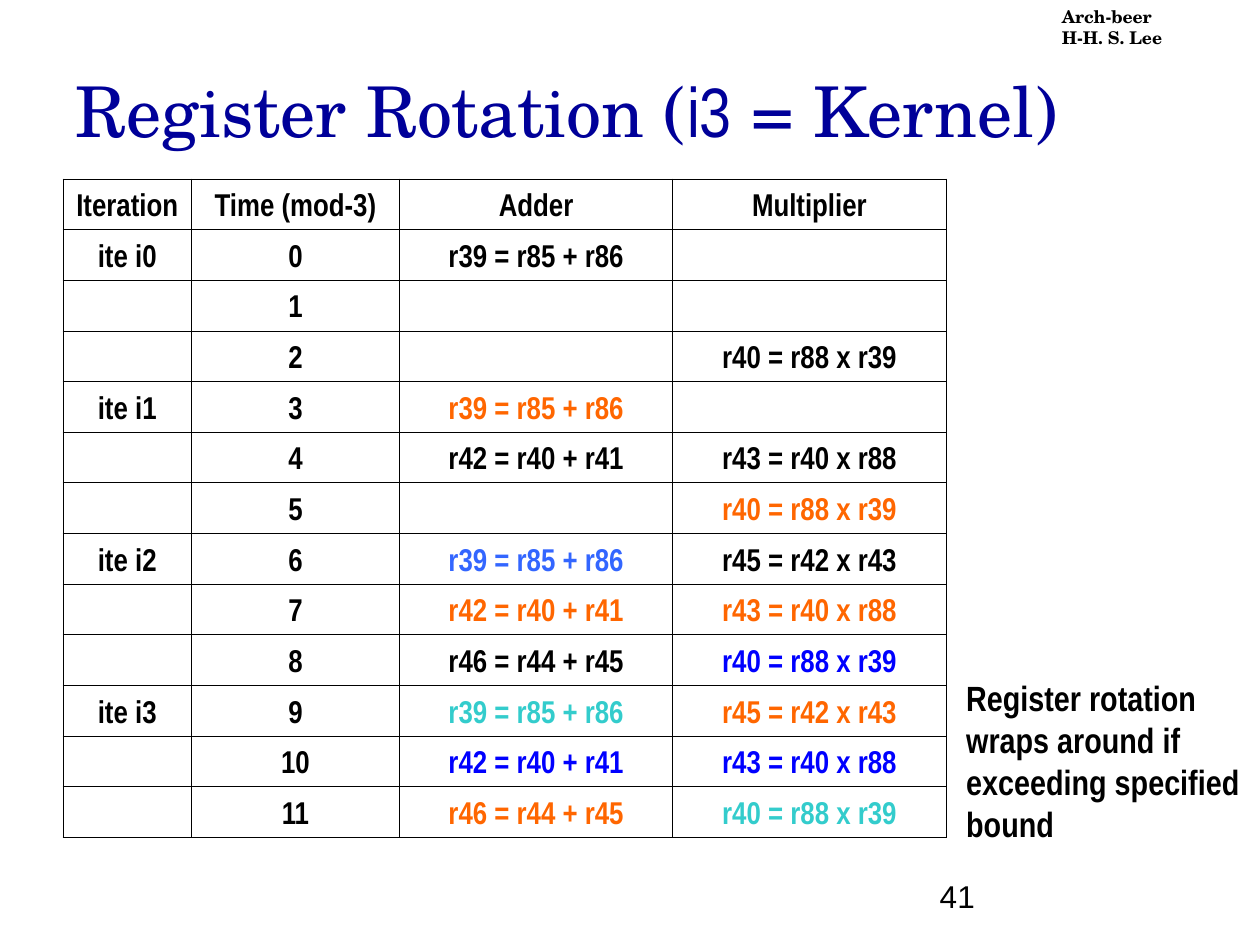
import dataclasses

import lxml.etree
import pptx
import pptx.dml.color
import pptx.enum.text
import pptx.oxml.ns
import pptx.util

Inches = pptx.util.Inches
Anchor = pptx.enum.text.MSO_ANCHOR
qn = pptx.oxml.ns.qn


@dataclasses.dataclass(frozen=True)
class Theme:
    serif: str = "TeX Gyre Schola"
    narrow: str = "Arial Narrow"
    sans: str = "Arial"
    black: str = "000000"
    navy: str = "000099"
    orange: str = "FF6600"
    sky: str = "3366FF"
    blue: str = "0000FF"
    teal: str = "33CCCC"
    credit_size: int = 10
    title_size: int = 40
    table_size: int = 18
    note_size: int = 20
    number_size: int = 18
    thin_line: float = 0.45
    thick_line: float = 1.08


class SlideBuilder:
    def __init__(self, slide, theme):
        self.slide = slide
        self.theme = theme

    def run(self, paragraph, text, font, size, color, bold=False):
        run = paragraph.add_run()
        run.text = text
        run.font.name = font
        run.font.size = pptx.util.Pt(size)
        run.font.bold = bold
        run.font.color.rgb = pptx.dml.color.RGBColor.from_string(color)

    def text(self, box, paragraphs, size, color, bold=False, anchor=Anchor.TOP, grow=False):
        """Each paragraph is a list of (text, font) runs."""
        shape = self.slide.shapes.add_textbox(*map(Inches, box))
        frame = shape.text_frame
        frame.word_wrap = True
        frame.vertical_anchor = anchor
        if grow:
            frame.auto_size = pptx.enum.text.MSO_AUTO_SIZE.SHAPE_TO_FIT_TEXT
        for index, runs in enumerate(paragraphs):
            paragraph = frame.add_paragraph() if index else frame.paragraphs[0]
            for text, font in runs:
                self.run(paragraph, text, font, size, color, bold)

    def border(self, cell, **widths):
        properties = cell._tc.get_or_add_tcPr()
        for index, (side, width) in enumerate(widths.items()):
            line = lxml.etree.Element(qn(f"a:ln{side}"), w=str(pptx.util.Pt(width)))
            fill = lxml.etree.SubElement(line, qn("a:solidFill"))
            lxml.etree.SubElement(fill, qn("a:srgbClr"), val=self.theme.black)
            properties.insert(index, line)

    def cell(self, cell, text, color):
        cell.fill.background()
        cell.vertical_anchor = Anchor.BOTTOM
        cell.margin_left = cell.margin_right = Inches(0.1)
        cell.margin_top = cell.margin_bottom = Inches(0.05)
        paragraph = cell.text_frame.paragraphs[0]
        paragraph.alignment = pptx.enum.text.PP_ALIGN.CENTER
        size = self.theme.table_size
        if text:
            self.run(paragraph, text, self.theme.narrow, size, color, True)
        else:
            # Keeps an empty cell from stretching its row
            ending = lxml.etree.SubElement(paragraph._p, qn("a:endParaRPr"), sz=str(size * 100))
            lxml.etree.SubElement(ending, qn("a:latin"), typeface=self.theme.narrow)

    def table(self, left, top, widths, height, rows, group):
        """Each cell is (text, color); a thick line closes every group of body rows."""
        frame = self.slide.shapes.add_table(
            len(rows), len(widths), Inches(left), Inches(top), Inches(sum(widths)), Inches(height))
        table = frame.table
        table.first_row = table.horz_banding = False
        for column, width in zip(table.columns, widths):
            column.width = Inches(width)
        thin, thick = self.theme.thin_line, self.theme.thick_line
        for index, row in enumerate(rows):
            table.rows[index].height = Inches(height / len(rows))
            above = thick if index > 1 and index % group == 1 else thin
            below = thick if index and index % group == 0 else thin
            for column, (text, color) in enumerate(row):
                cell = table.cell(index, column)
                self.cell(cell, text, color)
                self.border(cell, L=thin, R=thin, T=above, B=below)


def schedule_rows(theme):
    black, orange, sky = theme.black, theme.orange, theme.sky
    blue, teal = theme.blue, theme.teal
    empty = ("", black)
    add_39, add_42, add_46 = "r39 = r85 + r86", "r42 = r40 + r41", "r46 = r44 + r45"
    multiply_40, multiply_43, multiply_45 = "r40 = r88 x r39", "r43 = r40 x r88", "r45 = r42 x r43"
    operations = [
        ((add_39, black), empty),
        (empty, empty),
        (empty, (multiply_40, black)),
        ((add_39, orange), empty),
        ((add_42, black), (multiply_43, black)),
        (empty, (multiply_40, orange)),
        ((add_39, sky), (multiply_45, black)),
        ((add_42, orange), (multiply_43, orange)),
        ((add_46, black), (multiply_40, blue)),
        ((add_39, teal), (multiply_45, orange)),
        ((add_42, blue), (multiply_43, blue)),
        ((add_46, orange), (multiply_40, teal)),
    ]
    rows = [[(name, black) for name in ("Iteration", "Time (mod-3)", "Adder", "Multiplier")]]
    for time, (adder, multiplier) in enumerate(operations):
        iteration = "" if time % 3 else f"ite i{time // 3}"
        rows.append([(iteration, black), (str(time), black), adder, multiplier])
    return rows


def main():
    theme = Theme()
    presentation = pptx.Presentation()
    presentation.slide_width = Inches(10)
    presentation.slide_height = Inches(7.5)
    slide = presentation.slides.add_slide(presentation.slide_layouts[6])
    builder = SlideBuilder(slide, theme)

    # Course credit
    builder.text((8.33, 0, 1.67, 0.44), [[("Arch-beer", theme.serif)], [("H-H. S. Lee", theme.serif)]],
                 theme.credit_size, theme.black, bold=True, grow=True)

    # Title
    title = [("Register Rotation (", theme.serif), ("i3", theme.narrow), (" = Kernel)", theme.serif)]
    builder.text((0.5, 0.33, 8.5, 0.92), [title], theme.title_size, theme.navy, anchor=Anchor.BOTTOM)

    # Schedule, three time steps to an iteration
    builder.table(0.5, 1.42, (1.02, 1.65, 2.17, 2.17), 5.23, schedule_rows(theme), group=3)

    # Side note
    note = ("Register rotation", "wraps around if exceeding specified bound")
    builder.text((7.57, 5.32, 2.43, 1.44), [[(line, theme.narrow)] for line in note],
                 theme.note_size, theme.black, bold=True, grow=True)

    # Slide number
    builder.text((7.36, 6.81, 2.08, 0.5), [[("41", theme.sans)]],
                 theme.number_size, theme.black, anchor=Anchor.BOTTOM)

    presentation.save("out.pptx")


if __name__ == "__main__":
    main()
